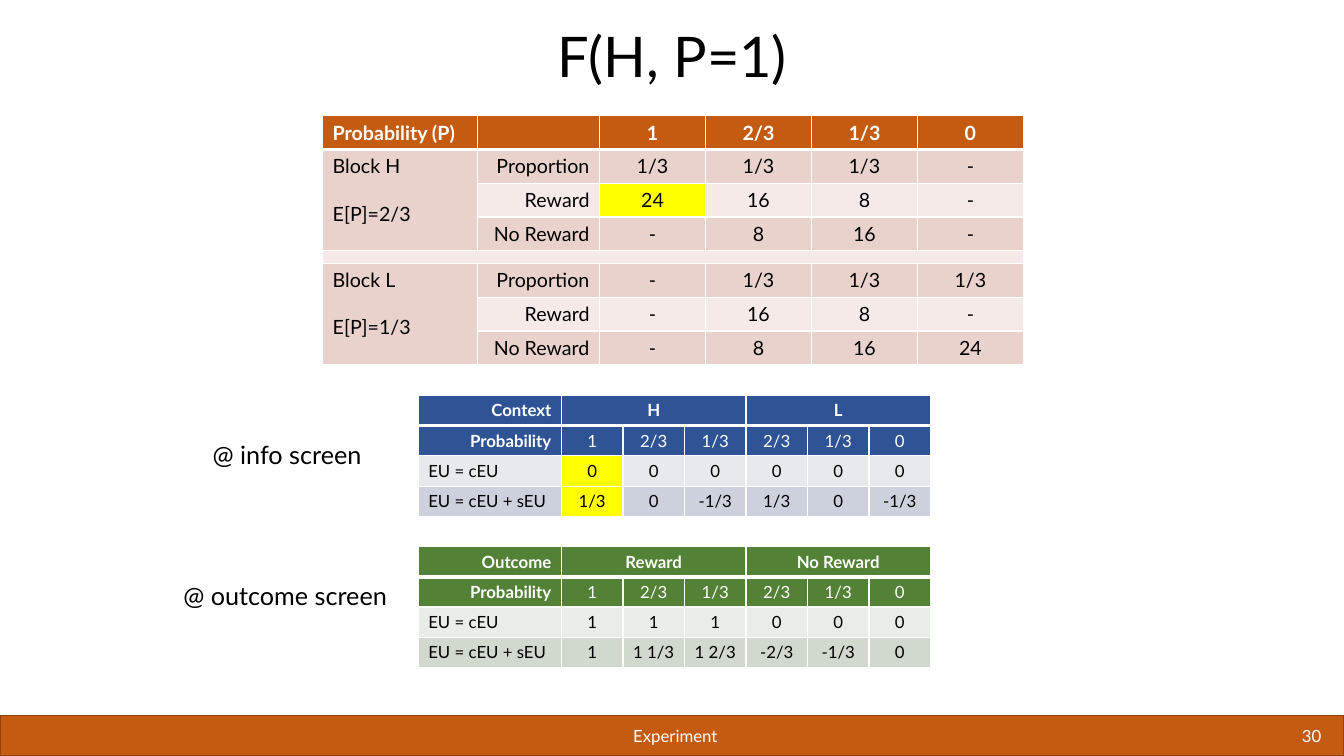
import pptx
import pptx.dml.color
import pptx.enum.shapes
import pptx.enum.text
import pptx.oxml
import pptx.oxml.ns
import pptx.util
from pptx.util import Cm, Pt

FONT = "Lato"
COLORS = {
    "white": "FFFFFF", "black": "000000", "yellow": "FFFF00",
    "orange": "C55A11", "brown": "92430D", "rose": "EAD2CC", "blush": "F5EAE7",
    "blue": "2F5496", "mist": "E8E9EF", "steel": "CDD1DD",
    "green": "538135", "pale": "E9EDE8", "sage": "D1D8CE",
}
ALIGN = pptx.enum.text.PP_ALIGN
ANCHOR = pptx.enum.text.MSO_ANCHOR


def color(name):
    return pptx.dml.color.RGBColor.from_string(COLORS[name])


def style(para, size, ink, align, bold=False):
    para.alignment = align
    font = para.font
    font.name, font.size, font.bold = FONT, Pt(size), bold
    font.color.rgb = color(ink)


def add_text(slide, text, box, size, ink="black", align=ALIGN.CENTER,
             anchor=ANCHOR.MIDDLE, wrap=True):
    frame = slide.shapes.add_textbox(*map(Cm, box)).text_frame
    frame.word_wrap = wrap
    frame.vertical_anchor = anchor
    frame.text = text
    para = frame.paragraphs[0]
    style(para, size, ink, align)
    return para


def add_bar(slide, box):
    bar = slide.shapes.add_shape(
        pptx.enum.shapes.MSO_SHAPE.RECTANGLE, *map(Cm, box))
    bar.shadow.inherit = False
    bar.fill.solid()
    bar.fill.fore_color.rgb = color("orange")
    bar.line.color.rgb = color("brown")
    bar.line.width = Pt(1)


def add_edges(cell, row):
    """White rules, thick between the first row and the second."""
    widths = {"L": 1, "R": 1, "T": 3 if row == 1 else 1, "B": 3 if row == 0 else 1}
    props = cell._tc.get_or_add_tcPr()
    for side, width in widths.items():
        props.append(pptx.oxml.parse_xml(
            f'<a:ln{side} {pptx.oxml.ns.nsdecls("a")} w="{Pt(width)}"><a:solidFill>'
            f'<a:srgbClr val="{COLORS["white"]}"/></a:solidFill></a:ln{side}>'))


def add_table(slide, left, top, cols, rows, data, size, look, merges):
    """look(row, col) gives the fill, ink, alignment and weight of a cell."""
    table = slide.shapes.add_table(
        len(rows), len(cols), Cm(left), Cm(top), Cm(sum(cols)), Cm(sum(rows))).table
    table.first_row = table.horz_banding = False
    for col, width in zip(table.columns, cols):
        col.width = Cm(width)
    for row, height in zip(table.rows, rows):
        row.height = Cm(height)
    for r, line in enumerate(data):
        for c, text in enumerate(line):
            cell = table.cell(r, c)
            fill, ink, align, bold = look(r, c)
            add_edges(cell, r)
            cell.fill.solid()
            cell.fill.fore_color.rgb = color(fill)
            if not text:
                # Keep empty cells from stretching their row
                end = cell.text_frame.paragraphs[0]._p.get_or_add_endParaRPr()
                end.set("sz", "100")
                continue
            cell.text = text
            for i, para in enumerate(cell.text_frame.paragraphs):
                style(para, size, ink, align, bold)
                if i:
                    para.space_before = Pt(size * 1.2)
    for r1, c1, r2, c2 in merges:
        table.cell(r1, c1).merge(table.cell(r2, c2))


def add_blocks(slide):
    def look(row, col):
        align = (ALIGN.LEFT, ALIGN.RIGHT)[col] if col < 2 else ALIGN.CENTER
        if row == 0:
            return "orange", "white", align, True
        fill = "rose" if row % 2 or col == 0 and row != 4 else "blush"
        return "yellow" if (row, col) == (2, 2) else fill, "black", align, False

    data = [
        ["Probability (P)", "", "1", "2/3", "1/3", "0"],
        ["Block H\nE[P]=2/3", "Proportion", "1/3", "1/3", "1/3", "-"],
        ["", "Reward", "24", "16", "8", "-"],
        ["", "No Reward", "-", "8", "16", "-"],
        [""] * 6,
        ["Block L\nE[P]=1/3", "Proportion", "-", "1/3", "1/3", "1/3"],
        ["", "Reward", "-", "16", "8", "-"],
        ["", "No Reward", "-", "8", "16", "24"],
    ]
    rows = [0.85] * 4 + [0.32] + [0.85] * 3
    add_table(slide, 8.13, 2.92, [3.91, 3.07] + [2.67] * 4, rows, data, 14, look,
              [(1, 0, 3, 0), (4, 0, 4, 5), (5, 0, 7, 0)])


def add_screen(slide, top, heads, values, fills, marks=()):
    def look(row, col):
        fill = "yellow" if (row, col) in marks else fills[max(row - 1, 0)]
        if row < 2:
            align = ALIGN.CENTER if col else ALIGN.RIGHT
            return fill, "white", align, row == 0 or col == 0
        return fill, "black", ALIGN.CENTER if col else ALIGN.LEFT, False

    name, first, second = heads
    data = [
        [name, first, "", "", second, "", ""],
        ["Probability", "1", "2/3", "1/3", "2/3", "1/3", "0"],
        ["EU = cEU"] + values[0],
        ["EU = cEU + sEU"] + values[1],
    ]
    add_table(slide, 10.54, top, [3.61] + [1.55] * 6, [0.76] * 4, data, 12, look,
              [(0, 1, 0, 3), (0, 4, 0, 6)])


def main():
    deck = pptx.Presentation()
    deck.slide_width, deck.slide_height = Cm(33.87), Cm(19.05)
    slide = deck.slides.add_slide(deck.slide_layouts[6])

    # Footer
    add_bar(slide, (0, 18.03, 33.87, 1.02))
    add_text(slide, "Experiment", (5.69, 18.03, 22.66, 1.02), 12, "white")
    add_text(slide, "30", (28.32, 18.03, 5.23, 1.02), 12, "white", ALIGN.RIGHT)

    # Title
    title = add_text(slide, "F(H, P=1)", (1.68, 0.58, 30.51, 1.8), 40,
                     anchor=ANCHOR.BOTTOM)
    title.line_spacing = 0.9

    # Tables
    add_screen(slide, 9.96, ("Context", "H", "L"),
               [["0"] * 6, ["1/3", "0", "-1/3", "1/3", "0", "-1/3"]],
               ("blue", "mist", "steel"), ((2, 1), (3, 1)))
    add_screen(slide, 13.77, ("Outcome", "Reward", "No Reward"),
               [["1"] * 3 + ["0"] * 3, ["1", "1 1/3", "1 2/3", "-2/3", "-1/3", "0"]],
               ("green", "pale", "sage"))
    add_blocks(slide)

    # Labels of the screens
    add_text(slide, "@ outcome screen", (4.37, 14.5, 5.77, 1.02), 18,
             align=ALIGN.LEFT, anchor=ANCHOR.TOP, wrap=False)
    add_text(slide, "@ info screen", (5.11, 10.95, 4.32, 1.02), 18,
             align=ALIGN.LEFT, anchor=ANCHOR.TOP, wrap=False)

    deck.save("out.pptx")


if __name__ == "__main__":
    main()
